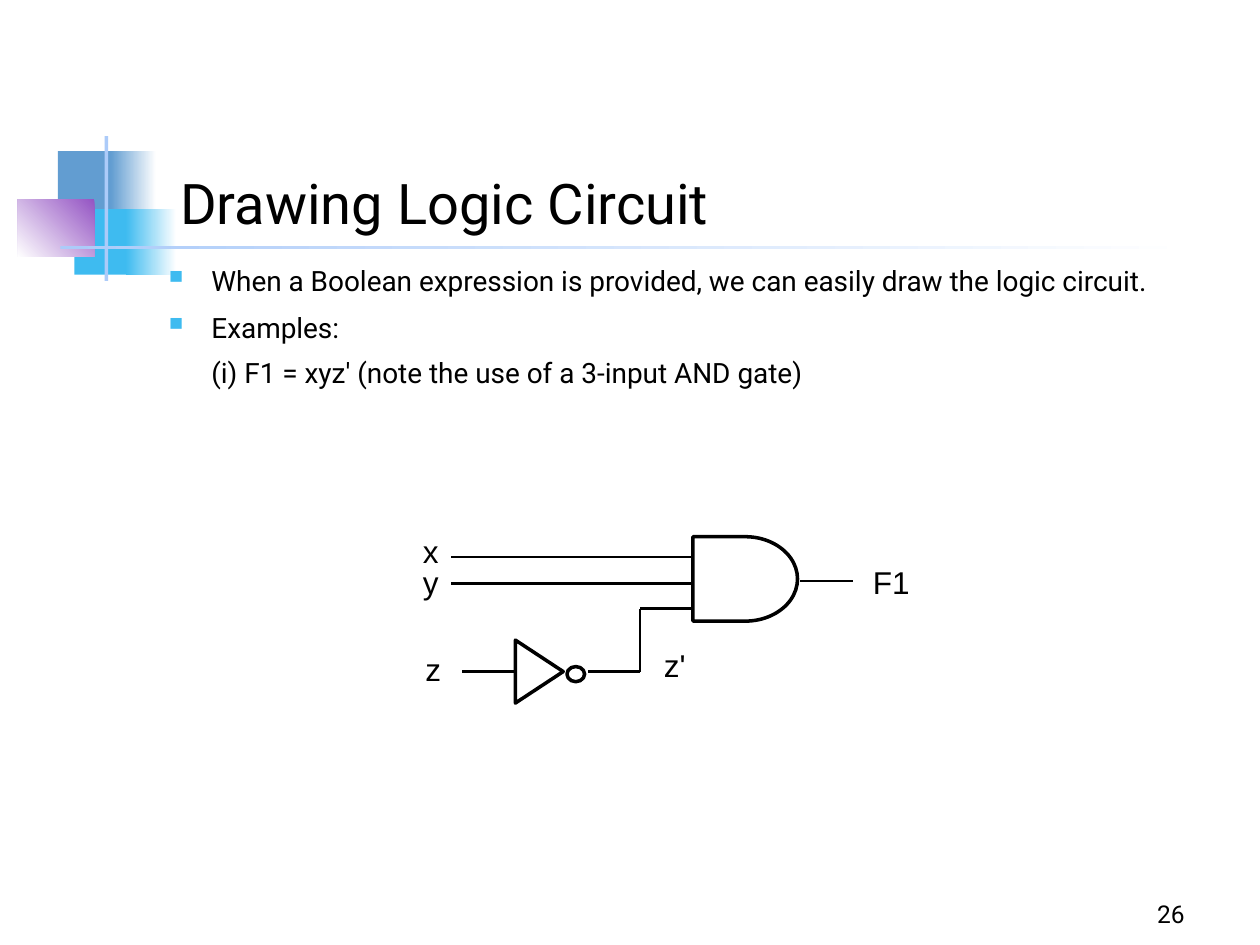
from lxml.etree import SubElement
from pptx import Presentation
from pptx.dml.color import RGBColor
from pptx.enum.shapes import MSO_CONNECTOR, MSO_SHAPE
from pptx.enum.text import MSO_ANCHOR, MSO_AUTO_SIZE, PP_ALIGN
from pptx.oxml.ns import qn
from pptx.util import Inches, Pt

BLACK = RGBColor(0x00, 0x00, 0x00)
WHITE = RGBColor(0xFF, 0xFF, 0xFF)
BLUE = RGBColor(0x62, 0x9D, 0xD1)
CYAN = RGBColor(0x3E, 0xBB, 0xF0)
PURPLE = RGBColor(0x94, 0x54, 0xC3)
PALE = RGBColor(0xAC, 0xCB, 0xF9)


def write(para, text, font="Roboto", size=16, color=BLACK,
          align=PP_ALIGN.LEFT, before=0):
    para.text = text
    para.alignment = align
    para.space_before = Pt(before)
    para.font.name = font
    para.font.size = Pt(size)
    para.font.color.rgb = color


def indent(para, left, first, bullet=None):
    props = para._p.get_or_add_pPr()
    props.set("marL", str(Inches(left)))
    props.set("indent", str(Inches(first)))
    if bullet:
        tint = SubElement(props, qn("a:buClr"))
        SubElement(tint, qn("a:srgbClr"), val=str(CYAN))
        SubElement(props, qn("a:buSzPct"), val="120000")
        SubElement(props, qn("a:buChar"), char=bullet)


class Deck:
    ink = BLACK
    wire_width = 1.5
    gate_width = 2

    def __init__(self, slide):
        self.slide = slide
        self.shapes = slide.shapes

    def title(self, text, left, top, width, height):
        box = self.shapes.title
        box.left, box.top = Inches(left), Inches(top)
        box.width, box.height = Inches(width), Inches(height)
        frame = box.text_frame
        frame.word_wrap = True
        frame.auto_size = MSO_AUTO_SIZE.NONE
        frame.vertical_anchor = MSO_ANCHOR.BOTTOM
        write(frame.paragraphs[0], text, size=32)

    def frame(self, left, top, width, height, anchor=MSO_ANCHOR.TOP):
        box = self.shapes.add_textbox(Inches(left), Inches(top),
                                      Inches(width), Inches(height))
        box.text_frame.word_wrap = True
        box.text_frame.vertical_anchor = anchor
        return box.text_frame

    def label(self, text, left, top, width, align=PP_ALIGN.LEFT):
        frame = self.frame(left, top, width, 0.4)
        write(frame.paragraphs[0], text, font="Arial", size=18, align=align)

    def shape(self, kind, left, top, width, height):
        item = self.shapes.add_shape(kind, Inches(left), Inches(top),
                                     Inches(width), Inches(height))
        item.shadow.inherit = False
        return item

    def block(self, left, top, width, height, color, fade=None):
        item = self.shape(MSO_SHAPE.RECTANGLE, left, top, width, height)
        item.line.fill.background()
        if fade is None:
            item.fill.solid()
            item.fill.fore_color.rgb = color
            return
        item.fill.gradient()
        item.fill.gradient_angle = fade
        for stop, tone in zip(item.fill.gradient_stops, (color, WHITE)):
            stop.color.rgb = tone

    def gate(self, kind, left, top, width, height, turn=0):
        item = self.shape(kind, left, top, width, height)
        item.rotation = turn
        item.fill.background()
        item.line.color.rgb = self.ink
        item.line.width = Pt(self.gate_width)

    def wire(self, *points):
        for (x1, y1), (x2, y2) in zip(points, points[1:]):
            line = self.shapes.add_connector(
                MSO_CONNECTOR.STRAIGHT, Inches(x1), Inches(y1),
                Inches(x2), Inches(y2))
            line.line.color.rgb = self.ink
            line.line.width = Pt(self.wire_width)
            SubElement(line._element.spPr, qn("a:effectLst"))


def main():
    prs = Presentation()
    prs.slide_width, prs.slide_height = Inches(10), Inches(7.5)
    deck = Deck(prs.slides.add_slide(prs.slide_layouts[5]))

    # Corner ornament and title rule
    deck.block(0.46, 1.2, 0.48, 0.52, BLUE)
    deck.block(0.88, 1.2, 0.36, 0.52, BLUE, fade=0)
    deck.block(0.59, 1.66, 0.46, 0.52, CYAN)
    deck.block(1, 1.66, 0.4, 0.52, CYAN, fade=0)
    deck.block(0.14, 1.58, 0.61, 0.46, PURPLE, fade=225)
    deck.block(0.83, 1.08, 0.03, 1.15, PALE)
    deck.block(0.48, 1.95, 9, 0.03, PALE, fade=0)

    # Title and body
    deck.title("Drawing Logic Circuit", 1.33, 1.09, 8.5, 0.83)
    body = deck.frame(1.08, 2.04, 8.5, 1.92)
    rows = [
        ("When a Boolean expression is provided, we can easily draw "
         "the logic circuit.", "▪", 0),
        ("Examples:", "▪", 8),
        ("(i) F1 = xyz' (note the use of a 3-input AND gate)", None, 6.4),
    ]
    for num, (text, bullet, gap) in enumerate(rows):
        para = body.add_paragraph() if num else body.paragraphs[0]
        indent(para, 0.5, -0.38 if bullet else 0, bullet)
        write(para, text, before=gap)

    # Gates: AND, then the inverter with its bubble
    deck.gate(MSO_SHAPE.FLOWCHART_DELAY, 5.5, 4.26, 0.83, 0.67)
    deck.gate(MSO_SHAPE.FLOWCHART_MERGE, 4.03, 5.14, 0.5, 0.38, turn=270)
    deck.gate(MSO_SHAPE.OVAL, 4.5, 5.29, 0.14, 0.12)

    # Wires
    for y in (4.42, 4.63):
        deck.wire((3.58, y), (5.5, y))
    deck.wire((3.67, 5.33), (4.08, 5.33))
    deck.wire((4.67, 5.33), (5.08, 5.33), (5.08, 4.83), (5.5, 4.83))
    deck.wire((6.35, 4.61), (6.77, 4.61))

    # Signal names
    for text, left, top in (("x", 3.25, 4.17), ("y", 3.25, 4.42),
                            ("z", 3.27, 5.11)):
        deck.label(text, left, top, 0.33, PP_ALIGN.RIGHT)
    deck.label("F1", 6.83, 4.42, 0.58)
    deck.label("z'", 5.17, 5.08, 0.42)

    # Page number
    page = deck.frame(7.42, 6.92, 2.08, 0.5, MSO_ANCHOR.BOTTOM)
    write(page.paragraphs[0], "26", size=14, align=PP_ALIGN.RIGHT)

    prs.save("out.pptx")


if __name__ == "__main__":
    main()
